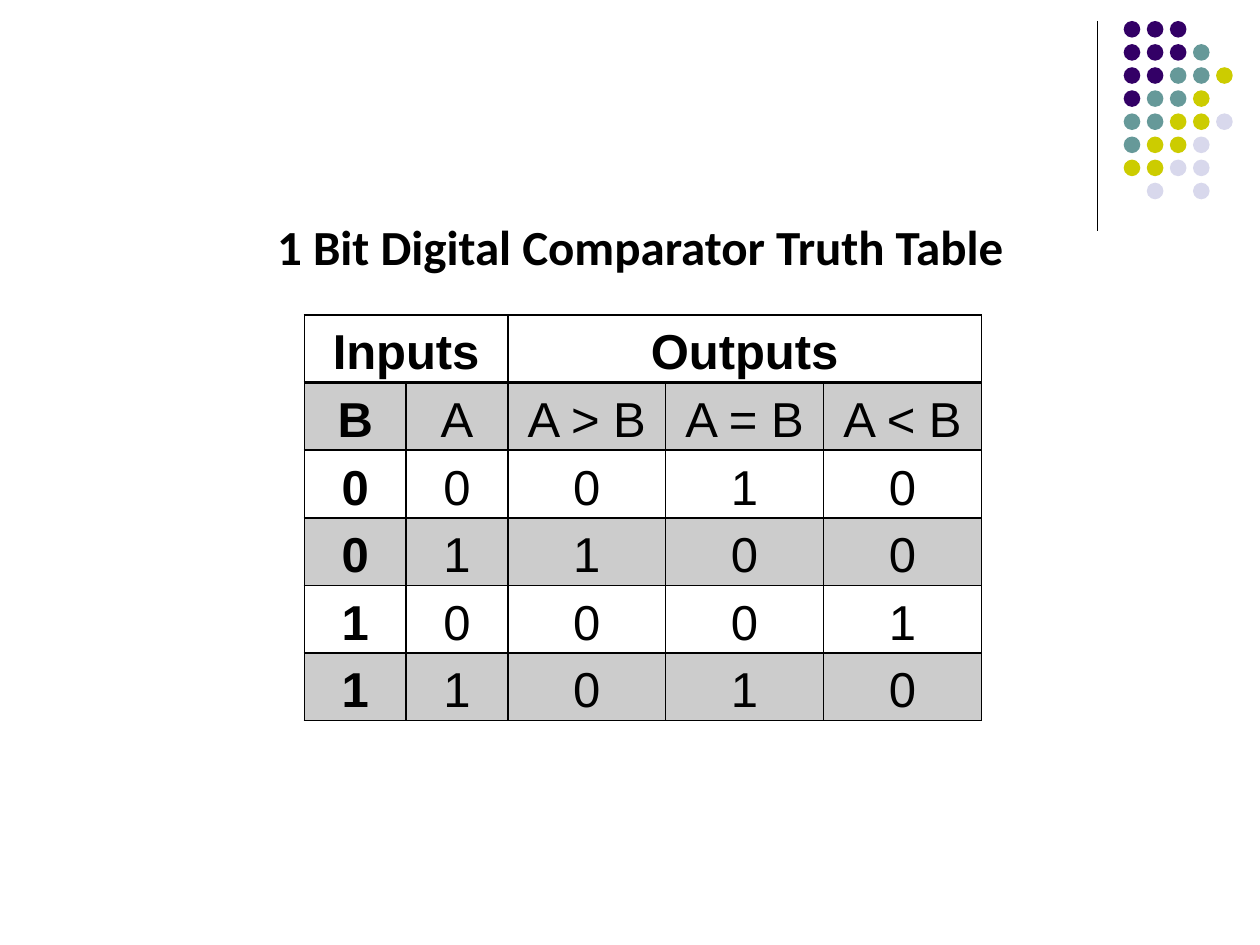
from lxml import etree
from pptx import Presentation
from pptx.dml.color import RGBColor
from pptx.enum.shapes import MSO_CONNECTOR, MSO_SHAPE
from pptx.enum.text import MSO_ANCHOR, PP_ALIGN
from pptx.oxml.ns import qn
from pptx.util import Pt

LEFT, CENTER = PP_ALIGN.LEFT, PP_ALIGN.CENTER
MIDDLE = MSO_ANCHOR.MIDDLE
OVAL = MSO_SHAPE.OVAL
STRAIGHT = MSO_CONNECTOR.STRAIGHT

COLORS = {
    "black": "000000",
    "purple": "330066",
    "teal": "669999",
    "lime": "CCCC00",
    "lilac": "D8D8EC",
}

TITLE = "1 Bit Digital Comparator Truth Table"
HEADERS = [("Inputs", 0, 1), ("Outputs", 2, 4)]  # text, first column, last column
ROWS = [
    ["B", "A", "A > B", "A = B", "A < B"],
    ["0", "0", "0", "1", "0"],
    ["0", "1", "1", "0", "0"],
    ["1", "0", "0", "0", "1"],
    ["1", "1", "0", "1", "0"],
]
COLUMN_WIDTHS = [58.1, 58.1, 90.25, 90.25, 90.25]
ROW_HEIGHT = 38.64
TABLE_LEFT, TABLE_TOP = 174, 180
CELL_INSET = 0.72
BAND_OPACITY = 20

DOT_ROWS = ["PPP", "PPPT", "PPTTL", "PTTL", "TTLLV", "TLLV", "LLVV", " V V"]
DOT_COLORS = {"P": "purple", "T": "teal", "L": "lime", "V": "lilac"}
DOT_LEFT, DOT_TOP, DOT_SIZE, DOT_PITCH = 642.1, 12, 9.5, 13.2


def color(name):
    return RGBColor.from_string(COLORS[name])


def write_text(text_frame, text, font="Arial", size=28, bold=False,
               align=CENTER, spacing=1.0):
    paragraph = text_frame.paragraphs[0]
    paragraph.alignment = align
    paragraph.line_spacing = spacing
    run = paragraph.add_run()
    run.text = text
    run.font.name = font
    run.font.size = Pt(size)
    run.font.bold = bold
    run.font.color.rgb = color("black")


def set_borders(cell, top=1, bottom=1):
    """Draw black lines on all four sides; widths are in points."""
    properties = cell._tc.get_or_add_tcPr()
    for side, width in (("L", 1), ("R", 1), ("T", top), ("B", bottom)):
        line = etree.SubElement(properties, qn(f"a:ln{side}"), w=str(Pt(width)))
        fill = etree.SubElement(line, qn("a:solidFill"))
        etree.SubElement(fill, qn("a:srgbClr"), val=COLORS["black"])


def fill_band(cell):
    """Shade a cell with translucent black."""
    cell.fill.solid()
    cell.fill.fore_color.rgb = color("black")
    rgb = cell._tc.tcPr.find(qn("a:solidFill")).find(qn("a:srgbClr"))
    etree.SubElement(rgb, qn("a:alpha"), val=str(BAND_OPACITY * 1000))


def add_corner_decoration(slide):
    rule = slide.shapes.add_connector(STRAIGHT, Pt(627), Pt(12), Pt(627), Pt(132))
    rule.line.color.rgb = color("black")
    rule.line.width = Pt(0.75)
    etree.SubElement(rule._element.spPr, qn("a:effectLst"))

    dots = slide.shapes.add_group_shape()
    for row, letters in enumerate(DOT_ROWS):
        for column, letter in enumerate(letters):
            if letter == " ":
                continue
            dot = dots.shapes.add_shape(
                OVAL, Pt(DOT_LEFT + column * DOT_PITCH),
                Pt(DOT_TOP + row * DOT_PITCH), Pt(DOT_SIZE), Pt(DOT_SIZE))
            dot.shadow.inherit = False
            dot.fill.solid()
            dot.fill.fore_color.rgb = color(DOT_COLORS[letter])
            dot.line.fill.background()


def add_truth_table(slide):
    row_count = len(ROWS) + 1
    table = slide.shapes.add_table(
        row_count, len(COLUMN_WIDTHS), Pt(TABLE_LEFT), Pt(TABLE_TOP),
        Pt(sum(COLUMN_WIDTHS)), Pt(ROW_HEIGHT * row_count)).table
    for column, width in zip(table.columns, COLUMN_WIDTHS):
        column.width = Pt(width)
    for index, row in enumerate(table.rows):
        row.height = Pt(ROW_HEIGHT)
        for cell in row.cells:
            cell.vertical_anchor = MIDDLE
            cell.margin_left = cell.margin_right = Pt(CELL_INSET)
            cell.margin_top = cell.margin_bottom = Pt(CELL_INSET)
            set_borders(cell, top=2 if index == 1 else 1,
                        bottom=2 if index == 0 else 1)
            if index % 2:
                fill_band(cell)
            else:
                cell.fill.background()

    for text, first, last in HEADERS:
        header = table.cell(0, first)
        header.merge(table.cell(0, last))
        write_text(header.text_frame, text, bold=True, spacing=1.15)
    for row, values in enumerate(ROWS, start=1):
        for column, value in enumerate(values):
            write_text(table.cell(row, column).text_frame, value,
                       bold=column == 0, spacing=1.15)


def add_title(slide):
    title = slide.shapes.title
    title.left, title.top = Pt(151.2), Pt(120.24)
    title.width, title.height = Pt(432.72), Pt(41.04)
    title.text_frame.word_wrap = True
    title.text_frame.vertical_anchor = MIDDLE
    write_text(title.text_frame, TITLE, font="Calibri", bold=True, align=LEFT)


def main():
    presentation = Presentation()
    presentation.slide_width, presentation.slide_height = Pt(720), Pt(540)
    slide = presentation.slides.add_slide(presentation.slide_layouts[5])
    add_corner_decoration(slide)
    add_truth_table(slide)
    add_title(slide)
    presentation.save("out.pptx")


if __name__ == "__main__":
    main()
